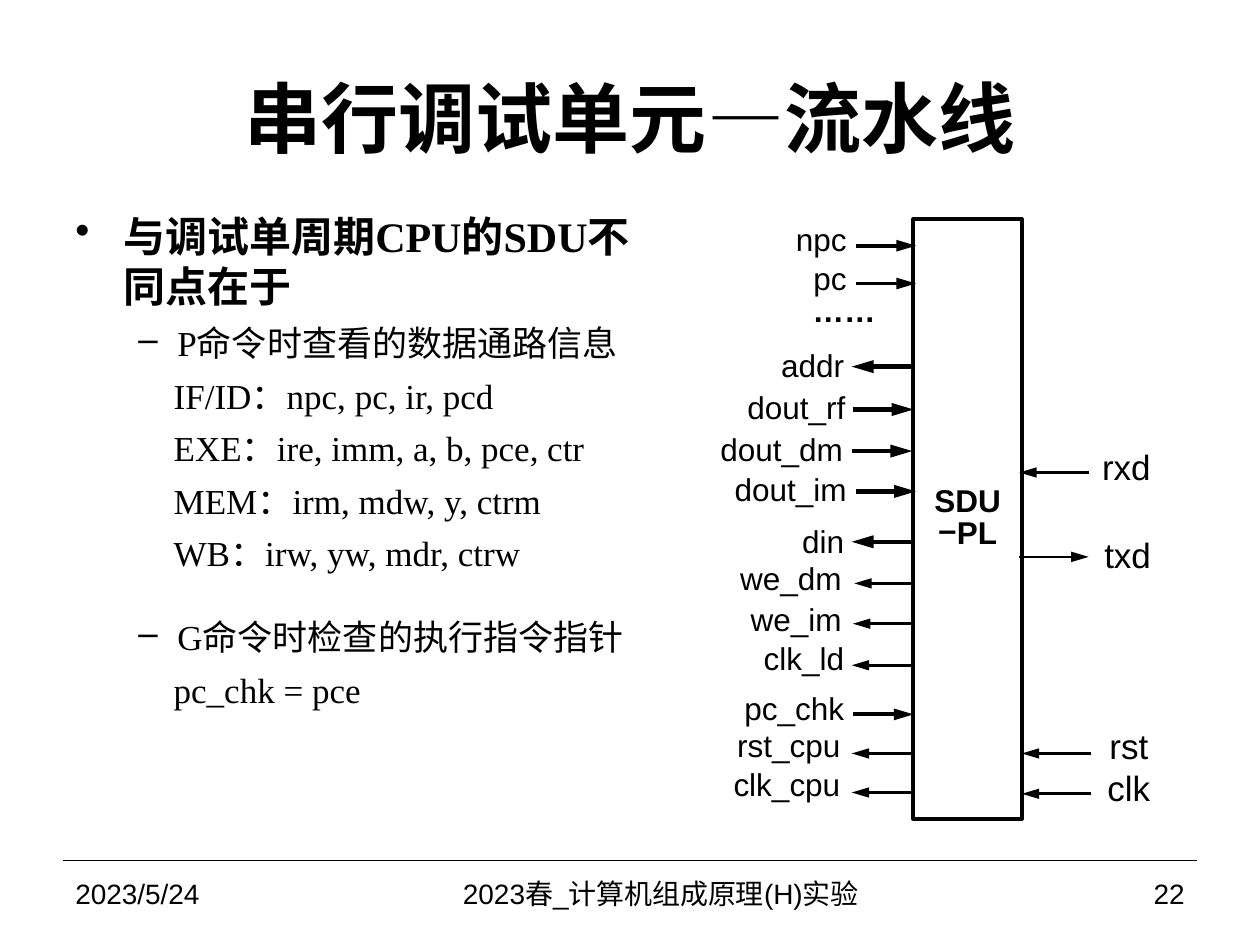
from lxml import etree
from pptx import Presentation
from pptx.dml.color import RGBColor
from pptx.enum.shapes import MSO_CONNECTOR, MSO_SHAPE
from pptx.enum.text import MSO_ANCHOR, PP_ALIGN
from pptx.oxml.ns import qn
from pptx.util import Pt

PX = 9144  # 100 px to the inch
BLACK = RGBColor(0, 0, 0)
SANS, SERIF, CJK = "Arial", "Times New Roman", "Noto Sans CJK SC"
LEFT, MID, RIGHT = PP_ALIGN.LEFT, PP_ALIGN.CENTER, PP_ALIGN.RIGHT
MIDDLE, TOP = MSO_ANCHOR.MIDDLE, MSO_ANCHOR.TOP
STRAIGHT, RECT = MSO_CONNECTOR.STRAIGHT, MSO_SHAPE.RECTANGLE

deck = Presentation()
deck.slide_width, deck.slide_height = 1000 * PX, 750 * PX
slide = deck.slides.add_slide(deck.slide_layouts[6])
shapes = slide.shapes


def write(shape, lines, size, align, bold=False, face=SANS, pad=(0, 0),
          wrap=False, anchor=MIDDLE):
    """Fill a shape with paragraphs; each line is a list of runs."""
    frame = shape.text_frame
    frame.word_wrap, frame.vertical_anchor = wrap, anchor
    frame.margin_left = frame.margin_right = pad[0] * PX
    frame.margin_top = frame.margin_bottom = pad[1] * PX
    for i, runs in enumerate(lines):
        para = frame.paragraphs[0] if i == 0 else frame.add_paragraph()
        para.alignment = align
        font = para.font
        font.size, font.bold, font.name = Pt(size), bold, face
        font.color.rgb = BLACK
        etree.SubElement(font._element, qn("a:ea"), typeface=CJK)
        for text in runs:
            para.add_run().text = text
    return frame.paragraphs


def draw(x1, y1, x2, y2, width, arrow=True):
    """Draw a line, with a long arrowhead at its end if wanted."""
    line = shapes.add_connector(STRAIGHT, x1 * PX, y1 * PX, x2 * PX, y2 * PX)
    line.line.color.rgb, line.line.width = BLACK, Pt(width)
    if arrow:
        etree.SubElement(line.line._get_or_add_ln(), qn("a:tailEnd"),
                         type="triangle", w="med", len="lg")
    etree.SubElement(line._element.spPr, qn("a:effectLst"))


# Title, with a plain dash
box = shapes.add_textbox(50 * PX, 30 * PX, 900 * PX, 125 * PX)
title = write(box, [["串行调试单元", "—", "流水线"]], 44, MID, True,
              pad=(10, 5), wrap=True)[0]
dash = title.runs[1].font
dash.name, dash.bold = CJK, False

# Body: bullet, space before, text
body = [
    ("•", 6, "与调试单周期CPU的SDU不同点在于"),
    ("–", 6, "P命令时查看的数据通路信息"),
    ("", 6, "IF/ID：npc, pc, ir, pcd"),
    ("", 6, "EXE：ire, imm, a, b, pce, ctr"),
    ("", 6, "MEM：irm, mdw, y, ctrm"),
    ("", 6, "WB：irw, yw, mdr, ctrw"),
    ("–", 24, "G命令时检查的执行指令指针"),
    ("", 6, "pc_chk = pce"),
]
indents = {"•": (38, -38), "–": (81, -31), "": (78, 0)}
box = shapes.add_textbox(50 * PX, 162 * PX, 488 * PX, 521 * PX)
paras = write(box, [[text] for _, _, text in body], 20, LEFT, face=SERIF,
              pad=(10, 5), wrap=True, anchor=TOP)
for para, (mark, gap, _) in zip(paras, body):
    para.space_before = Pt(gap)
    para.level = 0 if mark == "•" else 1
    props = para._p.get_or_add_pPr()
    margin, hang = indents[mark]
    props.set("marL", str(margin * PX))
    props.set("indent", str(hang * PX))
    bullet = etree.Element(qn("a:buChar" if mark else "a:buNone"))
    if mark:
        bullet.set("char", mark)
    para.font._element.addprevious(bullet)
paras[0].font.size, paras[0].font.bold = Pt(24), True

# Footer
draw(50, 683, 950, 683, 0.75, arrow=False)
for x, w, text, align in [
    (50, 233, "2023/5/24", LEFT),
    (283, 483, "2023春_计算机组成原理(H)实验", MID),
    (767, 183, "22", RIGHT),
]:
    box = shapes.add_textbox(x * PX, 683 * PX, w * PX, 52 * PX)
    write(box, [[text]], 16, align, pad=(10, 5), wrap=True)

# Unit block
unit = shapes.add_shape(RECT, 725 * PX, 174 * PX, 86 * PX, 476 * PX)
unit.shadow.inherit = False
unit.fill.background()
unit.line.color.rgb, unit.line.width = BLACK, Pt(2.25)
names = write(unit, [["SDU"], ["−", "PL"]], 18, MID, True)
for para in names:
    para.line_spacing = Pt(18)
names[1].runs[0].font.name = CJK

# Left ports: name, label left, top, width, arrow left, y, weight, inward
for name, x, top, w, tip, y, weight, inward in [
    ("npc", 631, 175, 41, 679, 195, 2.25, True),
    ("pc", 645, 206, 27, 679, 225, 2.25, True),
    ("addr", 620, 275, 50, 676, 291, 2.5, False),
    ("dout_rf", 592, 308, 79, 677, 325, 2.5, True),
    ("dout_dm", 571, 341, 98, 676, 358, 2.5, True),
    ("dout_im", 582, 373, 90, 679, 390, 2.5, True),
    ("din", 636, 414, 34, 676, 430, 2.5, False),
    ("we_dm", 587, 444, 81, 678, 463, 1.5, False),
    ("we_im", 595, 476, 73, 677, 495, 1.5, False),
    ("clk_ld", 605, 507, 65, 676, 528, 1.5, False),
    ("pc_chk", 590, 547, 80, 677, 567, 2.25, True),
    ("rst_cpu", 584, 576, 83, 676, 598, 1.5, False),
    ("clk_cpu", 581, 607, 86, 676, 629, 1.5, False),
]:
    ends = (tip, tip + 48) if inward else (tip + 48, tip)
    draw(ends[0], y, ends[1], y, weight)
    box = shapes.add_textbox(x * PX, top * PX, w * PX, 30 * PX)
    write(box, [[name]], 18, RIGHT)
box = shapes.add_textbox(645 * PX, 231 * PX, 50 * PX, 30 * PX)
write(box, [["……"]], 18, RIGHT, True)

# Right ports: name, label left, top, arrow left, y, inward
for name, x, top, tip, y, inward in [
    ("rxd", 874, 349, 809, 375, True),
    ("txd", 875, 419, 809, 442, False),
    ("rst", 876, 571, 811, 598, True),
    ("clk", 876, 604, 811, 630, True),
]:
    ends = (tip + 55, tip) if inward else (tip, tip + 55)
    draw(ends[0], y, ends[1], y, 1.5)
    box = shapes.add_textbox(x * PX, top * PX, 40 * PX, 42 * PX)
    write(box, [[name]], 20, MID)

deck.save("out.pptx")
